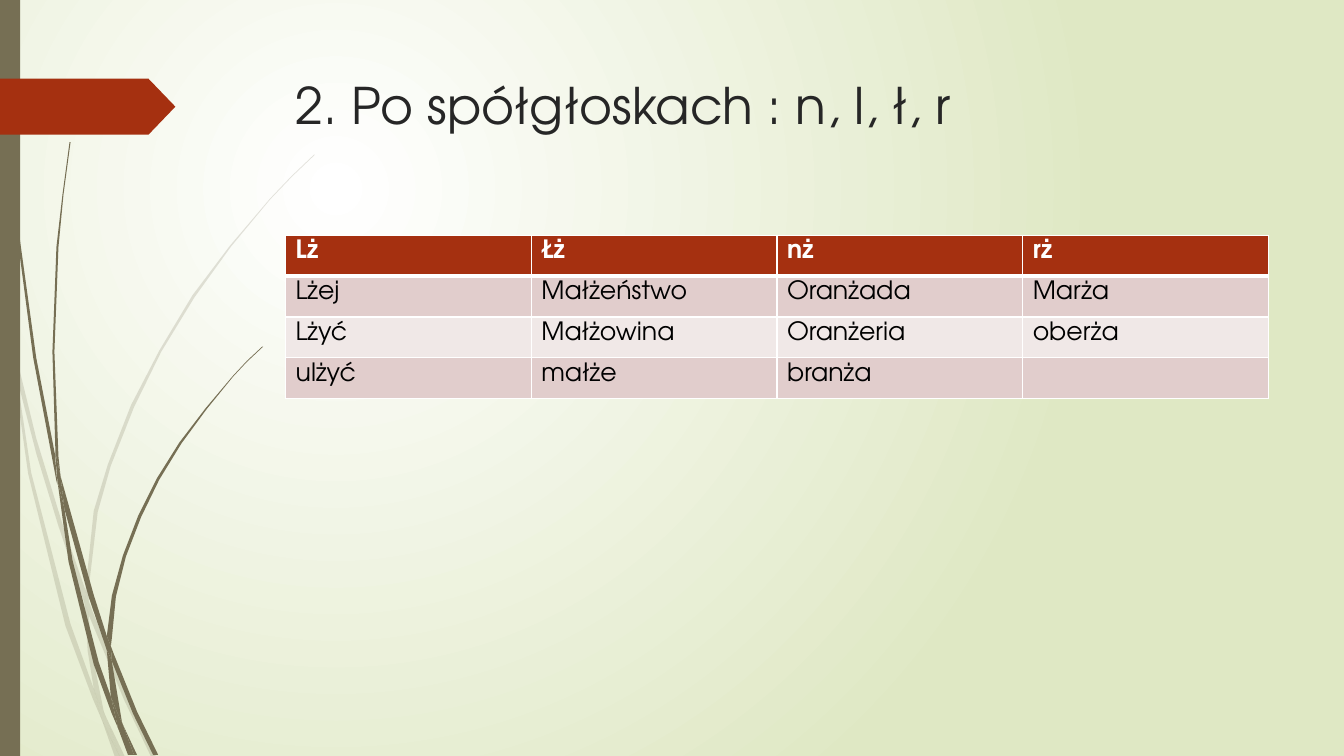
from lxml import etree
from pptx import Presentation
from pptx import util as u
from pptx.dml import color
from pptx.enum import shapes, text
from pptx.oxml import ns

FONT = "TeX Gyre Adventor"
OLIVE, RUST, WHITE = "766F54", "A53010", "FFFFFF"
BANDS = ["E1CDCC", "F0E8E7"]
GRASS_UNIT = 0.72

PALE_GRASS = [
    [(11, 350), (9, 322), (0, 282), (0, 299), (10, 344)],
    [(58, 522), (84, 599), (85, 586), (62, 520), (36, 435), (14, 345), (17, 376), (36, 450)],
    [(92, 607), (88, 596), (88, 610), (123, 694), (150, 751), (155, 751), (127, 692)],
    [(119, 751), (124, 751), (105, 711)],
    [(93, 683), (70, 619), (31, 469), (17, 376), (11, 350), (28, 470), (65, 621), (92, 693),
     (101, 714), (99, 707)],
    [(84, 599), (87, 646), (93, 683), (96, 692), (105, 711), (103, 706), (91, 646), (88, 610),
     (88, 608)],
    [(88, 584), (97, 508), (110, 462), (133, 404), (160, 349), (193, 295), (229, 245), (268, 198),
     (290, 175), (312, 154), (312, 153), (289, 175), (268, 197), (228, 244), (191, 293), (158, 348),
     (130, 402), (107, 461), (93, 507), (85, 584), (85, 586), (88, 596)],
    [(101, 714), (114, 751), (119, 751)],
    [(88, 608), (88, 610), (88, 596), (85, 586), (84, 599)],
    [(96, 692), (93, 683), (99, 707), (101, 714), (119, 751), (105, 711)],
]

DARK_GRASS = [
    [(7, 110), (17, 233), (33, 355), (56, 477), (57, 481), (55, 457), (55, 453), (36, 355),
     (19, 232), (8, 109), (5, 48), (4, 0), (3, 0), (4, 48)],
    [(88, 592), (106, 645), (106, 633), (106, 631), (93, 590), (60, 472), (64, 505)],
    [(113, 649), (110, 641), (111, 656), (132, 708), (152, 749), (157, 749), (136, 706)],
    [(110, 691), (98, 657), (72, 556), (64, 505), (57, 477), (68, 557), (93, 659), (111, 708),
     (117, 722), (116, 717)],
    [(60, 472), (58, 453), (54, 349), (58, 245), (63, 193), (70, 141), (69, 141), (62, 193),
     (56, 245), (52, 349), (55, 449), (60, 472)],
    [(133, 749), (136, 749), (122, 719)],
    [(57, 477), (64, 505), (60, 472), (55, 449), (55, 453)],
    [(111, 633), (115, 592), (125, 552), (140, 513), (158, 476), (180, 440), (205, 406), (231, 374),
     (245, 359), (261, 344), (260, 344), (245, 358), (231, 373), (204, 405), (178, 439), (156, 474),
     (137, 512), (122, 551), (111, 591), (106, 631), (110, 641)],
    [(117, 722), (127, 749), (131, 749)],
    [(106, 645), (110, 691), (116, 706), (122, 719), (121, 716), (111, 656), (109, 651)],
    [(106, 645), (109, 651), (111, 656), (110, 641), (106, 631), (106, 633)],
    [(116, 706), (110, 691), (116, 717), (117, 722), (130, 749), (133, 749), (122, 719)],
]

WORDS = [
    ["Lż", "Łż", "nż", "rż"],
    ["Lżej", "Małżeństwo", "Oranżada", "Marża"],
    ["Lżyć", "Małżowina", "Oranżeria", "oberża"],
    ["ulżyć", "małże", "branża", ""],
]


def rgb(value):
    return color.RGBColor.from_string(value)


def add_run(paragraph, words, size, hex_color, bold=False):
    run = paragraph.add_run()
    run.text = words
    run.font.name = FONT
    run.font.size = u.Pt(size)
    run.font.bold = bold
    run.font.color.rgb = rgb(hex_color)


def paint(shape, hex_color):
    shape.shadow.inherit = False
    shape.fill.solid()
    shape.fill.fore_color.rgb = rgb(hex_color)
    shape.line.fill.background()


def set_background(slide):
    fill = slide.background.fill
    fill.gradient()
    for stop, hex_color, position in zip(fill.gradient_stops, [WHITE, "DFE8C4"], [0, 1]):
        stop.color.rgb = rgb(hex_color)
        stop.position = position
    gradient = slide.background._cSld.find(".//" + ns.qn("a:gradFill"))
    gradient.remove(gradient.find(ns.qn("a:lin")))
    circle = etree.SubElement(gradient, ns.qn("a:path"), path="circle")
    etree.SubElement(circle, ns.qn("a:fillToRect"), l="50000", t="50000", r="100000", b="100000")


def add_grass(slide, left, top, blades, opacity):
    group = slide.shapes.add_group_shape()
    for start, *rest in blades:
        builder = group.shapes.build_freeform(*start, scale=u.Pt(GRASS_UNIT))
        builder.add_line_segments(rest)
        blade = builder.convert_to_shape(u.Pt(left), u.Pt(top))
        paint(blade, OLIVE)
        if opacity < 100:
            tint = blade.fill._xPr.find(".//" + ns.qn("a:srgbClr"))
            etree.SubElement(tint, ns.qn("a:alpha"), val=str(opacity * 1000))


def add_block(slide, kind, left, top, width, height, hex_color):
    shape = slide.shapes.add_shape(kind, u.Pt(left), u.Pt(top), u.Pt(width), u.Pt(height))
    paint(shape, hex_color)
    return shape


def add_side_decoration(slide, left, top, height):
    add_grass(slide, left, top, PALE_GRASS, 20)
    add_grass(slide, left, top, DARK_GRASS, 100)
    add_block(slide, shapes.MSO_SHAPE.RECTANGLE, left, top, 14.4, height, OLIVE)
    marker = add_block(slide, shapes.MSO_SHAPE.PENTAGON, left, top + 56.2, 125.3, 40, RUST)
    marker.adjustments[0] = 0.48


def place_title(slide, left, top, width, height):
    title = slide.shapes.title
    title.left, title.top = u.Pt(left), u.Pt(top)
    title.width, title.height = u.Pt(width), u.Pt(height)
    frame = title.text_frame
    frame.auto_size = text.MSO_AUTO_SIZE.NONE
    frame.vertical_anchor = text.MSO_ANCHOR.TOP
    paragraph = frame.paragraphs[0]
    paragraph.alignment = text.PP_ALIGN.LEFT
    add_run(paragraph, "2. Po spółgłoskach : n, l, ł, r", 36, "262626")
    slide.shapes._spTree.append(title._element)


def set_borders(cell, bottom_width):
    properties = cell._tc.get_or_add_tcPr()
    for index, (side, width) in enumerate([("L", 1), ("R", 1), ("T", 1), ("B", bottom_width)]):
        line = etree.Element(ns.qn("a:ln" + side), w=str(u.Pt(width)))
        fill = etree.SubElement(line, ns.qn("a:solidFill"))
        etree.SubElement(fill, ns.qn("a:srgbClr"), val=WHITE)
        properties.insert(index, line)


def add_word_table(slide, left, top, width, height):
    frame = slide.shapes.add_table(len(WORDS), len(WORDS[0]), u.Pt(left), u.Pt(top),
                                   u.Pt(width), u.Pt(height))
    for row, words in enumerate(WORDS):
        header = row == 0
        for column, word in enumerate(words):
            cell = frame.table.cell(row, column)
            cell.fill.solid()
            cell.fill.fore_color.rgb = rgb(RUST if header else BANDS[(row - 1) % 2])
            set_borders(cell, 3 if header else 1)
            if word:
                add_run(cell.text_frame.paragraphs[0], word, 18, WHITE if header else "000000", header)


def build_slide(presentation):
    slide = presentation.slides.add_slide(presentation.slide_layouts[5])
    set_background(slide)
    add_side_decoration(slide, 0, 0, 540)
    place_title(slide, 204.2, 49.1, 702, 100.9)
    add_word_table(slide, 204, 168, 702, 116.8)


def main():
    presentation = Presentation()
    presentation.slide_width, presentation.slide_height = u.Pt(960), u.Pt(540)
    build_slide(presentation)
    presentation.save("out.pptx")


if __name__ == "__main__":
    main()
